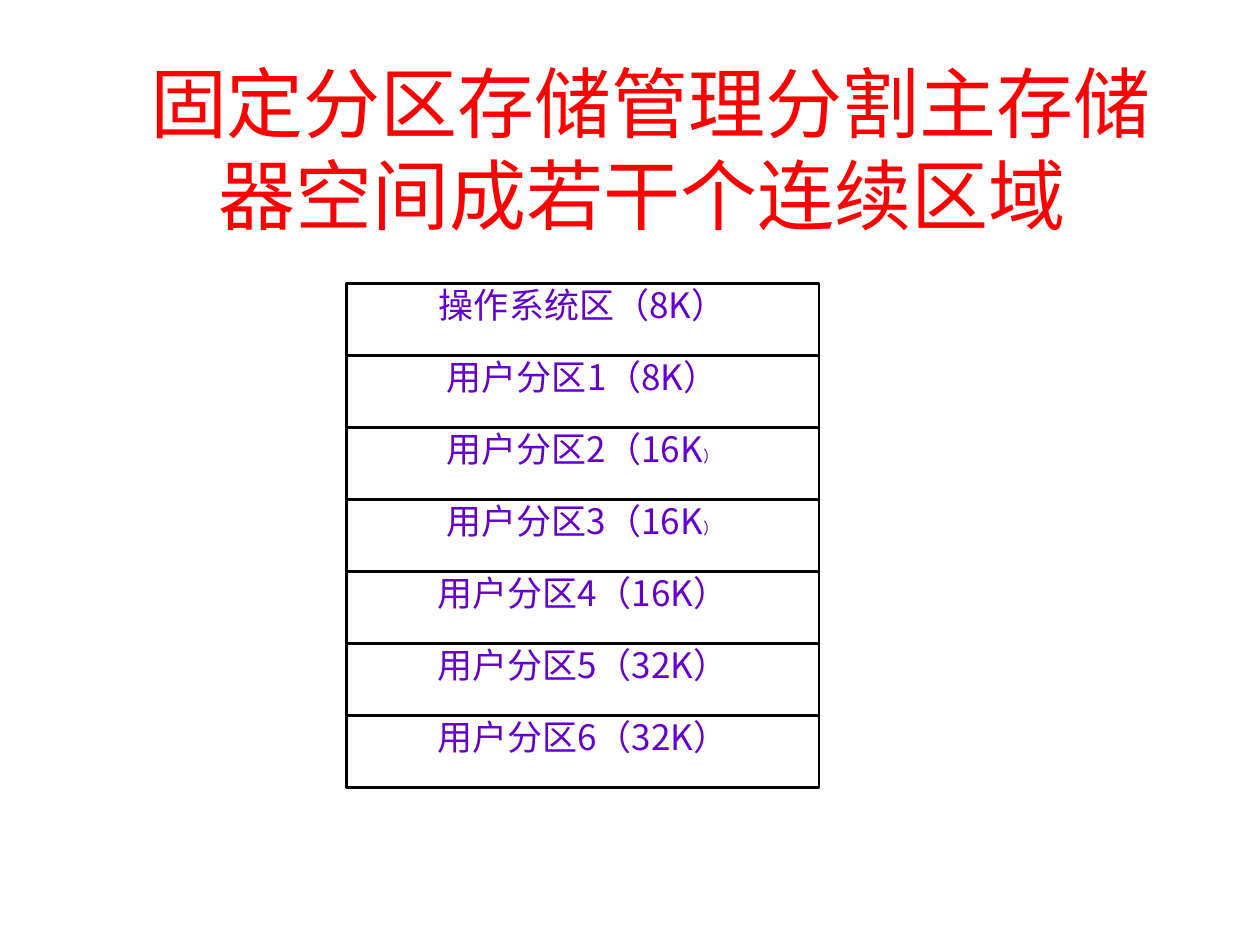
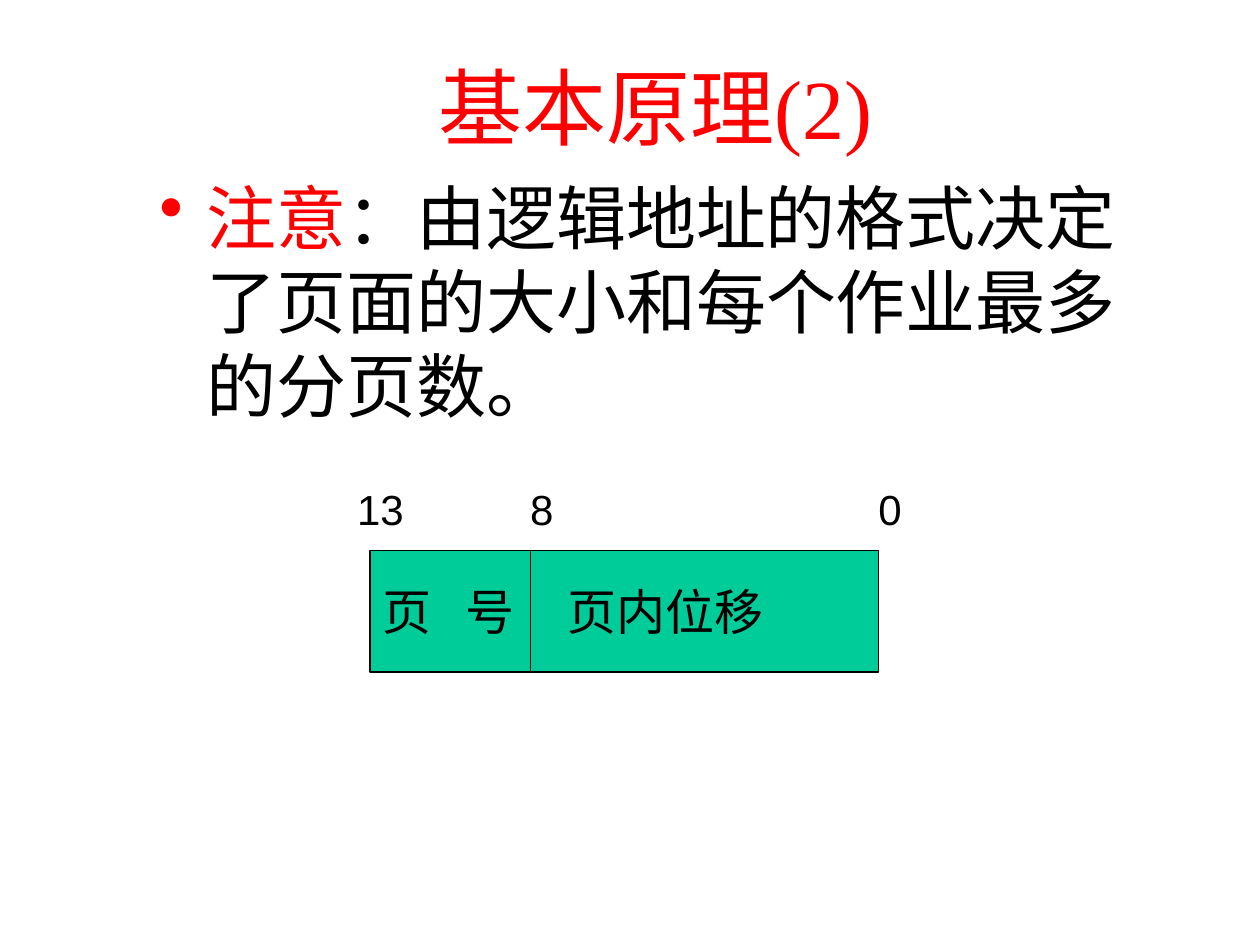
import pptx
import pptx.util
import pptx.dml.color
import pptx.enum.shapes
import pptx.enum.text
import pptx.oxml
import pptx.oxml.ns

Pt = pptx.util.Pt
RGB = pptx.dml.color.RGBColor
ALIGN = pptx.enum.text.PP_ALIGN
ANCHOR = pptx.enum.text.MSO_ANCHOR

RED = RGB(0xFF, 0, 0)
BLACK = RGB(0, 0, 0)
WHITE = RGB(0xFF, 0xFF, 0xFF)
PURPLE = RGB(0x66, 0, 0xCC)
GREEN = RGB(0, 0xCC, 0x99)

SERIF = "Times New Roman"
SANS = "Arial"
CJK_SC = "Noto Sans CJK SC"
CJK_JP = "Noto Sans CJK JP"


def add_run(p, text, size, font, color):
    r = p.add_run()
    r.text = text
    r.font.size = Pt(size)
    r.font.name = font
    r.font.color.rgb = color


def set_frame(tf, inset_x=7.2, inset_y=3.6, anchor=ANCHOR.TOP):
    tf.word_wrap = True
    tf.margin_left = tf.margin_right = Pt(inset_x)
    tf.margin_top = tf.margin_bottom = Pt(inset_y)
    tf.vertical_anchor = anchor
    return tf.paragraphs[0]


def add_text(s, x, y, w, h, **frame):
    sp = s.shapes.add_textbox(Pt(x), Pt(y), Pt(w), Pt(h))
    return set_frame(sp.text_frame, **frame)


def add_title(s, text, size, x, w, h):
    p = add_text(s, x, 28, w, h)
    p.alignment = ALIGN.CENTER
    add_run(p, text, size, SERIF, RED)


def add_box(s, x, y, w, h, fill, weight, **frame):
    sp = s.shapes.add_shape(pptx.enum.shapes.MSO_SHAPE.RECTANGLE,
                            Pt(x), Pt(y), Pt(w), Pt(h))
    sp.shadow.inherit = False
    sp.fill.solid()
    sp.fill.fore_color.rgb = fill
    sp.line.color.rgb = BLACK
    sp.line.width = Pt(weight)
    return set_frame(sp.text_frame, **frame)


def add_divider(s, x, top, bottom):
    line = s.shapes.add_connector(pptx.enum.shapes.MSO_CONNECTOR.STRAIGHT,
                                  Pt(x), Pt(top), Pt(x), Pt(bottom))
    line.line.color.rgb = BLACK
    line.line.width = Pt(0.75)
    pptx.oxml.ns.qn("a:effectLst")
    line._element.spPr.append(pptx.oxml.parse_xml(
        "<a:effectLst %s/>" % pptx.oxml.ns.nsdecls("a")))


def set_bullet(p, indent):
    pPr = p._p.get_or_add_pPr()
    pPr.set("marL", str(Pt(indent)))
    pPr.set("indent", str(-Pt(indent)))
    pPr.append(pptx.oxml.parse_xml(
        '<a:buChar %s char="•"/>' % pptx.oxml.ns.nsdecls("a")))


def set_tabs(p, stops):
    tabs = "".join('<a:tab pos="%d" algn="l"/>' % Pt(stop) for stop in stops)
    p._p.get_or_add_pPr().append(pptx.oxml.parse_xml(
        "<a:tabLst %s>%s</a:tabLst>" % (pptx.oxml.ns.nsdecls("a"), tabs)))


def add_partitions(s, partitions, x, y, w, h):
    row_h = h / len(partitions)
    for i, (label, paren_size) in enumerate(partitions):
        p = add_box(s, x, y + i * row_h, w, row_h, WHITE, 1.5,
                    inset_x=0, inset_y=0)
        p.alignment = ALIGN.CENTER
        add_run(p, label, 20, CJK_SC, PURPLE)
        add_run(p, "）", paren_size, CJK_SC, PURPLE)


def add_address(s, left, split, right, top, bottom):
    p = add_box(s, left, top, right - left, bottom - top, GREEN, 0.75,
                anchor=ANCHOR.MIDDLE)
    p.alignment = ALIGN.LEFT
    set_tabs(p, (47.5, 106))
    add_run(p, "页\t号\t页内位移", 28, SANS, BLACK)
    add_divider(s, split, top, bottom)
    for bit, x in (("13", left - 7.5), ("8", split), ("0", right)):
        p = add_text(s, x, 276, 38, 29, inset_x=0, inset_y=0)
        add_run(p, bit, 24, SANS, BLACK)


def add_partition_slide(prs):
    s = prs.slides.add_slide(prs.slide_layouts[6])
    add_title(s, "固定分区存储管理分割主存储器空间成若干个连续区域 ",
              44, 66, 612, 106)
    partitions = (
        ("操作系统区（8K", 20),
        ("用户分区1（8K", 20),
        ("用户分区2（16K", 9),
        ("用户分区3（16K", 9),
        ("用户分区4（16K", 20),
        ("用户分区5（32K", 20),
        ("用户分区6（32K", 20),
    )
    add_partitions(s, partitions, 198, 162, 270, 288)


def add_paging_slide(prs):
    s = prs.slides.add_slide(prs.slide_layouts[6])
    add_title(s, "基本原理(2)", 48, 50.5, 648, 58)
    p = add_text(s, 84, 96, 582, 168)
    set_bullet(p, 27)
    add_run(p, "注意", 40, CJK_JP, RED)
    add_run(p, "：由逻辑地址的格式决定了页面的大小和每个作业最多的分页数。",
            40, CJK_JP, BLACK)
    add_address(s, 211.5, 303, 502, 314.5, 384)


def main():
    prs = pptx.Presentation()
    prs.slide_width, prs.slide_height = Pt(720), Pt(540)
    add_partition_slide(prs)
    add_paging_slide(prs)
    prs.save("out.pptx")


if __name__ == "__main__":
    main()
